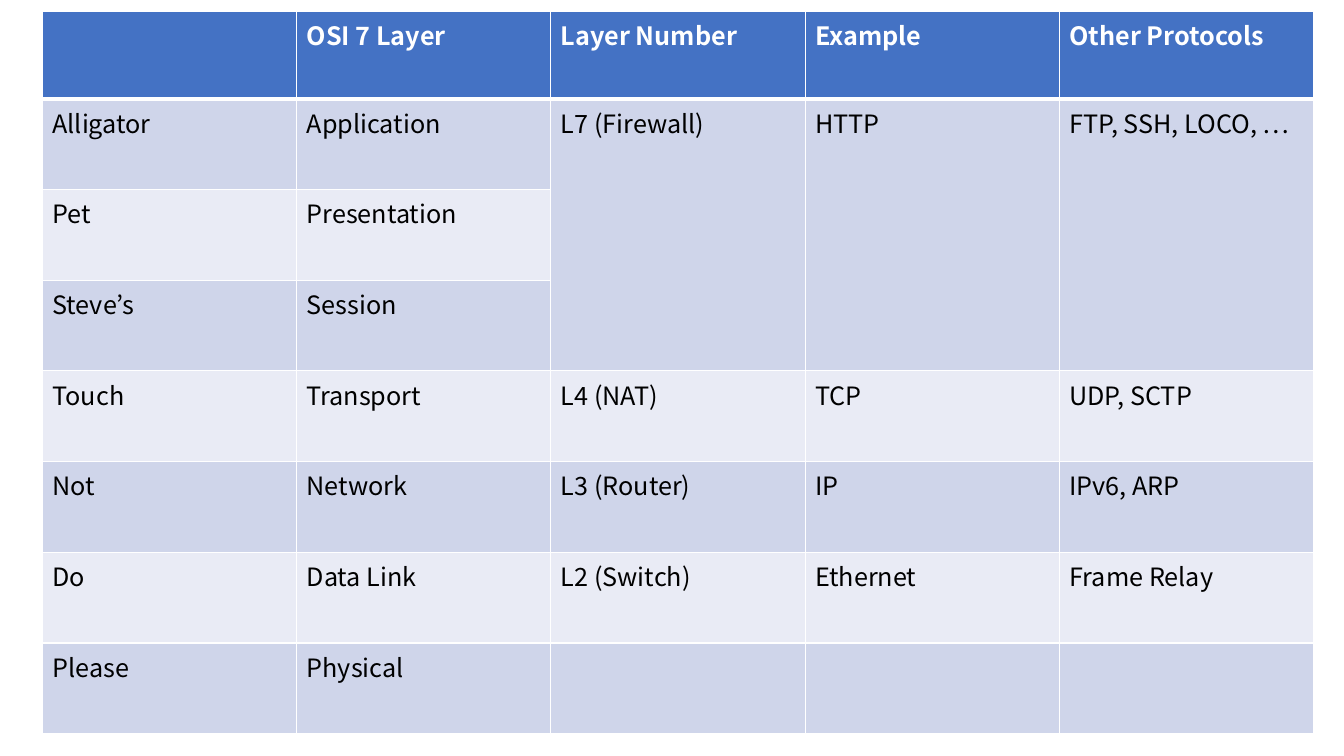
from lxml.etree import SubElement
from pptx import Presentation
from pptx.dml.color import RGBColor
from pptx.oxml.ns import qn
from pptx.util import Inches, Pt

SLIDE_W, SLIDE_H = 13.33, 7.5
HEADER = ["", "OSI 7 Layer", "Layer Number", "Example", "Other Protocols"]
LAYERS = [
    ["Alligator", "Application", "L7 (Firewall)", "HTTP", "FTP, SSH, LOCO, …"],
    ["Pet", "Presentation", "", "", ""],
    ["Steve’s", "Session", "", "", ""],
    ["Touch", "Transport", "L4 (NAT)", "TCP", "UDP, SCTP"],
    ["Not", "Network", "L3 (Router)", "IP", "IPv6, ARP"],
    ["Do", "Data Link", "L2 (Switch)", "Ethernet", "Frame Relay"],
    ["Please", "Physical", "", "", ""],
]
MERGES = [((1, col), (3, col)) for col in (2, 3, 4)]


def color(value):
    return RGBColor.from_string(value)


class Deck:
    font = "Noto Sans CJK KR"
    header_fill, bands = "4472C4", ("CFD5EA", "E9EBF5")
    header_text = {"size": Pt(18), "bold": True, "name": font}
    body_text = {**header_text, "bold": False}
    thin, thick = 1, 3

    def __init__(self, prs):
        self.prs = prs
        self.s = prs.slides.add_slide(prs.slide_layouts[6])

    def x(self, share):
        return int(self.prs.slide_width * share)

    def y(self, share):
        return int(self.prs.slide_height * share)

    def border(self, cell, side, width):
        ln = SubElement(cell._tc.get_or_add_tcPr(), qn(f"a:ln{side}"), w=str(Pt(width)))
        fill = SubElement(ln, qn("a:solidFill"))
        SubElement(fill, qn("a:srgbClr"), val="FFFFFF")

    def cell(self, cell, text, row):
        # Borders come before the fill in the cell properties
        widths = {"L": self.thin, "R": self.thin,
                  "T": self.thick if row == 1 else self.thin,
                  "B": self.thick if row == 0 else self.thin}
        for side, width in widths.items():
            self.border(cell, side, width)
        cell.fill.solid()
        fill = self.bands[(row - 1) % 2] if row else self.header_fill
        cell.fill.fore_color.rgb = color(fill)
        p = cell.text_frame.paragraphs[0]
        if not text:
            p.font.size = self.body_text["size"]
            return
        r = p.add_run()
        r.text = text
        for name, value in (self.body_text if row else self.header_text).items():
            setattr(r.font, name, value)
        r.font.color.rgb = color("000000" if row else "FFFFFF")
        SubElement(r._r.get_or_add_rPr(), qn("a:ea"), typeface=self.font)

    def table(self, rows, left, top, width, header_h, row_h, merges=()):
        n_rows, n_cols = len(rows), len(rows[0])
        height = header_h + row_h * (n_rows - 1)
        sp = self.s.shapes.add_table(n_rows, n_cols, self.x(left), self.y(top),
                                     self.x(width), self.y(height))
        table = sp.table
        for i, row in enumerate(rows):
            table.rows[i].height = self.y(row_h if i else header_h)
            for j, text in enumerate(row):
                self.cell(table.cell(i, j), text, i)
        for first, last in merges:
            table.cell(*first).merge(table.cell(*last))


prs = Presentation()
prs.slide_width, prs.slide_height = Inches(SLIDE_W), Inches(SLIDE_H)

# OSI layers with their mnemonic; the top three layers share one L7 cell
deck = Deck(prs)
deck.table([HEADER] + LAYERS, left=0.42 / SLIDE_W, top=0.11 / SLIDE_H,
           width=12.61 / SLIDE_W, header_h=0.87 / SLIDE_H,
           row_h=0.9 / SLIDE_H, merges=MERGES)

prs.save("out.pptx")
